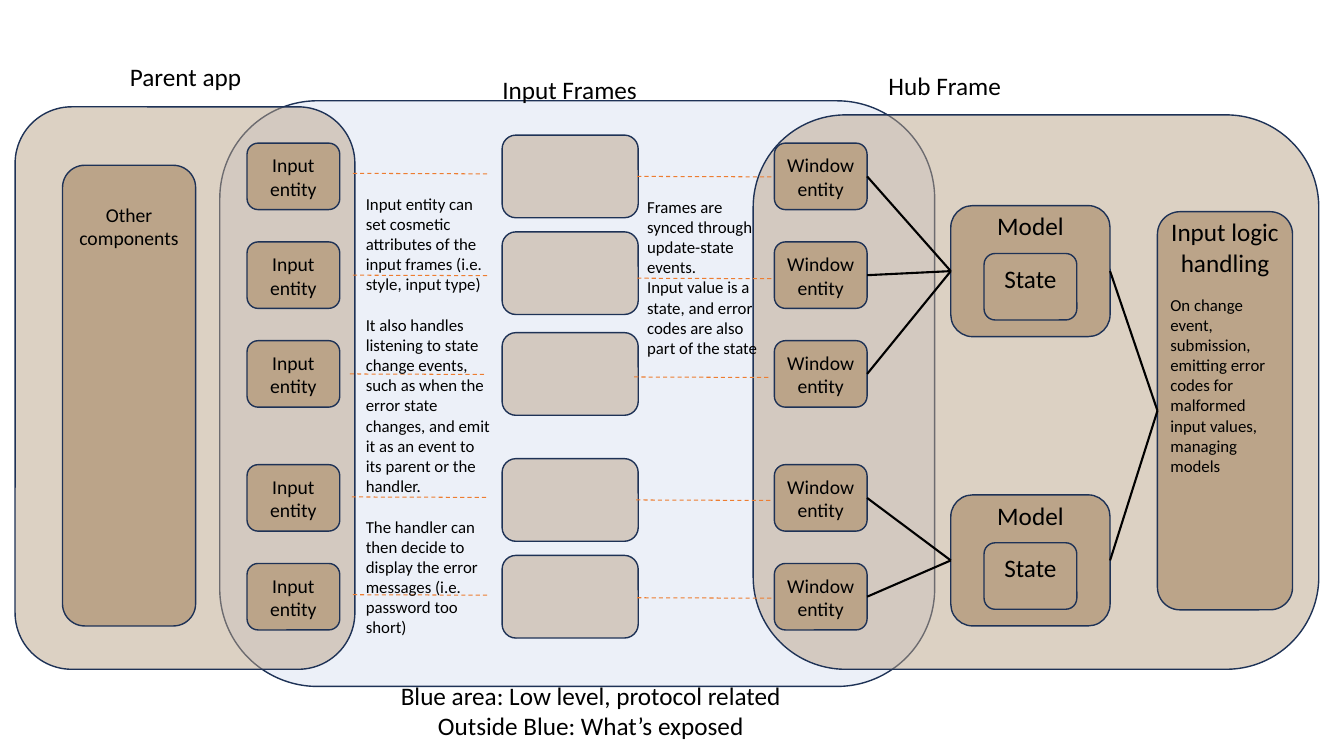
import dataclasses

import lxml.etree
import pptx
import pptx.dml.color
import pptx.enum.dml
import pptx.enum.shapes
import pptx.enum.text
import pptx.oxml.ns
import pptx.util

COLUMNS, ROWS = 1333, 750
CELL = pptx.util.Inches(0.01)
TAN, BLUE, NAVY, ORANGE, BLACK = "BBA489", "DAE3F3", "1E3256", "ED7D31", "000000"
ENTITY_PITCH = 98
ENTITY_GROUPS = [[142 + ENTITY_PITCH * row for row in range(3)],
                 [461 + ENTITY_PITCH * row for row in range(2)]]
MODEL_TOPS = [204, 491]
FRAME_TOPS = [134, 230, 330, 455, 551]
LINK_STARTS = [(0, 175), (0, 276), (-3, 374), (-1, 496), (0, 593)]


@dataclasses.dataclass
class Box:
    left: float
    top: float
    width: float
    height: float

    def inside(self, left, top, width, height):
        return Box(self.left + left, self.top + top, width, height)

    def lengths(self):
        return [round(value * CELL) for value in dataclasses.astuple(self)]


def colour(value):
    return pptx.dml.color.RGBColor.from_string(value)


def add_panel(shapes, box, fill=TAN, opacity=100):
    panel = shapes.add_shape(pptx.enum.shapes.MSO_SHAPE.ROUNDED_RECTANGLE, *box.lengths())
    panel.shadow.inherit = False
    panel.fill.solid()
    panel.fill.fore_color.rgb = colour(fill)
    panel.line.color.rgb = colour(NAVY)
    panel.line.width = pptx.util.Pt(1)
    if opacity < 100:
        solid = panel.element.spPr.find(pptx.oxml.ns.qn("a:solidFill"))
        lxml.etree.SubElement(solid[0], pptx.oxml.ns.qn("a:alpha"), val=str(opacity * 1000))


def add_text(shapes, box, lines, size, centred=True, gap=0):
    frame = shapes.add_textbox(*box.lengths()).text_frame
    frame.word_wrap = True
    frame.text = "\n".join(lines)
    for index, para in enumerate(frame.paragraphs):
        para.font.name = "Calibri"
        para.font.size = pptx.util.Pt(size)
        para.font.color.rgb = colour(BLACK)
        if centred:
            para.alignment = pptx.enum.text.PP_ALIGN.CENTER
        if index and gap:
            para.space_before = pptx.util.Pt(gap)


def add_line(shapes, start, end, line_colour=BLACK, width=1.5, dashed=False):
    points = [round(value * CELL) for value in (*start, *end)]
    line = shapes.add_connector(pptx.enum.shapes.MSO_CONNECTOR.STRAIGHT, *points)
    line.line.color.rgb = colour(line_colour)
    line.line.width = pptx.util.Pt(width)
    if dashed:
        line.line.dash_style = pptx.enum.dml.MSO_LINE.DASH
    lxml.etree.SubElement(line.element.spPr, pptx.oxml.ns.qn("a:effectLst"))


def add_title(shapes, left, top, title):
    add_text(shapes, Box(left, top, 158, 40), [title], 18)


def add_entity(shapes, left, top, label):
    card = shapes.add_group_shape().shapes
    box = Box(left, top, 92, 66)
    add_panel(card, box)
    add_text(card, box.inside(0, 5, 92, 57), [label], 14)


def add_links(shapes, left, rise, width):
    for shift, height in LINK_STARTS:
        start = left + shift
        add_line(shapes, (start, height - rise), (start + width, height - rise + 0.5),
                 ORANGE, 0.75, True)


def add_model(shapes, box):
    card = shapes.add_group_shape().shapes
    add_panel(card, box)
    add_text(card, box.inside(33, 0, 92, 40), ["Model"], 18)
    state = box.inside(33, 47.5, 92, 66)
    add_panel(card, state)
    add_text(card, state.inside(0, 4.5, 92, 40), ["State"], 18)


def add_logic(shapes, box):
    add_panel(shapes, box)
    add_text(shapes, box.inside(0, 0, box.width, 71), ["Input logic handling"], 18)
    add_text(shapes, box.inside(3, 77, 130, 192),
             ["On change event, submission, emitting error codes for malformed "
              "input values, managing models"], 12, False)


def add_hub_frame(shapes, box):
    add_panel(shapes, box, TAN, 50)
    add_title(shapes, box.left + 111, box.top - 49, "Hub Frame")
    logic = box.inside(401, 96, 134, 395)
    add_logic(shapes, logic)
    entity_left = box.left + 21
    for model_top, entity_tops in zip(MODEL_TOPS, ENTITY_GROUPS):
        model = Box(box.left + 196, model_top, 158, 130)
        middle = model.top + model.height / 2
        add_model(shapes, model)
        for top in entity_tops:
            add_entity(shapes, entity_left, top, "Window entity")
            add_line(shapes, (entity_left + 92, top + 33), (model.left, middle))
        add_line(shapes, (logic.left, logic.top + logic.height / 2),
                 (model.left + model.width, middle))


def add_input_frames(shapes, box):
    add_title(shapes, box.left + 268, box.top - 31, "Input Frames")
    for top in FRAME_TOPS:
        add_panel(shapes, Box(box.left + 280, top, 135, 82), TAN, 50)
    add_links(shapes, box.left + 414, 0, 136)
    add_text(shapes, box.inside(414, 90, 134, 172),
             ["Frames are synced through update-state events.",
              "Input value is a state, and error codes are also part of the state"], 12, False)
    add_text(shapes, box.inside(140, 570, 456, 71),
             ["Blue area: Low level, protocol related", "Outside Blue: What’s exposed"], 18)


def add_parent_app(shapes, box):
    add_panel(shapes, box, TAN, 50)
    add_title(shapes, box.left + 90, box.top - 50, "Parent app")
    for top in sum(ENTITY_GROUPS, []):
        add_entity(shapes, box.left + 230, top, "Input entity")
    others = shapes.add_group_shape().shapes
    column = box.inside(47, 58, 132, 457)
    add_panel(others, column)
    add_text(others, column.inside(0, 32, column.width, 81), ["Other components"], 14)


def add_entity_notes(shapes, box):
    add_links(shapes, box.left - 3, 3, 135)
    add_text(shapes, box,
             ["Input entity can set cosmetic attributes of the input frames "
              "(i.e. style, input type)",
              "It also handles listening to state change events, such as when the error state "
              "changes, and emit it as an event to its parent or the handler.",
              "The handler can then decide to display the error messages "
              "(i.e. password too short)"], 12, False, 14.5)


def main():
    deck = pptx.Presentation()
    deck.slide_width, deck.slide_height = COLUMNS * CELL, ROWS * CELL
    shapes = deck.slides.add_slide(deck.slide_layouts[6]).shapes
    blue_area = Box(218, 100, 709, 581)
    add_panel(shapes, blue_area, BLUE, 50)
    add_hub_frame(shapes, Box(747, 114, 561, 550))
    add_input_frames(shapes, blue_area)
    add_parent_app(shapes, Box(15, 106, 337, 558))
    add_entity_notes(shapes, Box(353, 187, 144, 454))
    deck.save("out.pptx")


if __name__ == "__main__":
    main()
